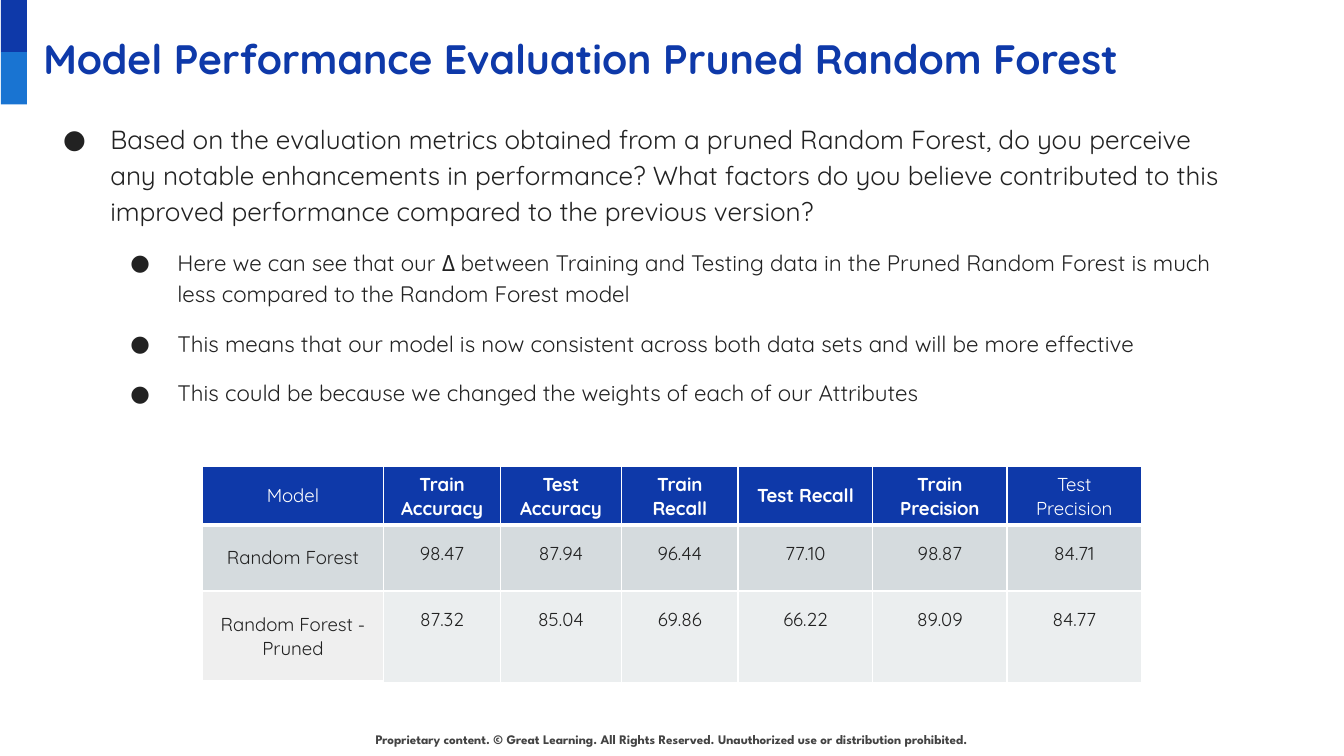
from lxml.etree import SubElement
from pptx import Presentation
from pptx.dml.color import RGBColor
from pptx.enum.shapes import MSO_SHAPE
from pptx.enum.text import MSO_ANCHOR, PP_ALIGN
from pptx.oxml.ns import qn
from pptx.util import Pt

COLORS = {
    "navy": "0E39A9",
    "blue": "1974D2",
    "ink": "222222",
    "footer": "434343",
    "white": "FFFFFF",
    "row": "D5DBDE",
    "pruned row": "EBEEEF",
    "pruned label": "EFEFEF",
}

QUESTION = (
    "Based on the evaluation metrics obtained from a pruned Random Forest, do you perceive "
    "any notable enhancements in performance? What factors do you believe contributed to this "
    "improved performance compared to the previous version?"
)
ANSWERS = [
    "Here we can see that our Δ between Training and Testing data in the Pruned Random Forest "
    "is much less compared to the Random Forest model",
    "This means that our model is now consistent across both data sets and will be more effective",
    "This could be because we changed the weights of each of our Attributes",
]
FOOTER = (
    "Proprietary content. © Great Learning. All Rights Reserved. "
    "Unauthorized use or distribution prohibited."
)

METRICS = [
    ["Model", "Train Accuracy", "Test Accuracy", "Train Recall", "Test Recall",
     "Train Precision", "Test Precision"],
    ["Random Forest", "98.47", "87.94", "96.44", "77.10", "98.87", "84.71"],
    ["Random Forest - Pruned", "87.32", "85.04", "69.86", "66.22", "89.09", "84.77"],
]
COLUMN_WIDTHS = [97.2, 62.6, 64.8, 62.6, 72, 72, 72]
ROW_HEIGHTS = [26.6, 35.3, 49]
LIGHT_HEADERS = {"Model", "Test Precision"}


def color(name):
    return RGBColor.from_string(COLORS[name])


def write(para, text, *, size, ink="ink", font="Quicksand", bold=False,
          align=PP_ALIGN.LEFT, line_spacing=1.0, space_before=0):
    para.alignment = align
    para.line_spacing = line_spacing
    para.space_before = Pt(space_before)
    span = para.add_run()
    span.text = text
    span.font.size = Pt(size)
    span.font.name = font
    span.font.bold = bold
    span.font.color.rgb = color(ink)


def set_frame(frame):
    frame.word_wrap = True
    frame.vertical_anchor = MSO_ANCHOR.TOP
    frame.margin_left = frame.margin_right = Pt(7.2)
    frame.margin_top = frame.margin_bottom = Pt(7.2)


def add_box(page, left, top, width, height):
    box = page.shapes.add_textbox(Pt(left), Pt(top), Pt(width), Pt(height))
    set_frame(box.text_frame)
    return box.text_frame


def add_bar(page, top, fill):
    bar = page.shapes.add_shape(MSO_SHAPE.RECTANGLE, Pt(0.5), Pt(top), Pt(14), Pt(28))
    bar.shadow.inherit = False
    bar.fill.solid()
    bar.fill.fore_color.rgb = color(fill)
    bar.line.fill.background()


def add_title(page, text):
    title = page.shapes.title
    title.left, title.top, title.width, title.height = Pt(16), Pt(10.8), Pt(671), Pt(45.4)
    set_frame(title.text_frame)
    write(title.text_frame.paragraphs[0], text, size=22, ink="navy", bold=True)


def add_bullet(para, level):
    para.level = level
    properties = para._p.get_or_add_pPr()
    properties.set("marL", str(Pt(36 * (level + 1))))
    properties.set("indent", str(Pt(-25.2)))
    tint = SubElement(properties, qn("a:buClr"))
    SubElement(tint, qn("a:srgbClr"), val=COLORS["ink"])
    SubElement(properties, qn("a:buFont"), typeface="Quicksand")
    SubElement(properties, qn("a:buChar"), char="●")


def add_discussion(page):
    frame = add_box(page, 16, 56.2, 654.5, 170)
    question = frame.paragraphs[0]
    write(question, QUESTION, size=14, line_spacing=1.15)
    add_bullet(question, 0)
    for text in ANSWERS:
        answer = frame.add_paragraph()
        write(answer, text, size=12, line_spacing=1.15, space_before=10)
        add_bullet(answer, 1)


def set_borders(cell, bottom):
    properties = cell._tc.get_or_add_tcPr()
    for side, width in {"L": 1, "R": 1, "T": 1, "B": bottom}.items():
        line = SubElement(properties, qn(f"a:ln{side}"), w=str(Pt(width)))
        fill = SubElement(line, qn("a:solidFill"))
        SubElement(fill, qn("a:srgbClr"), val=COLORS["white"])


def fill_cell(cell, text, row, column):
    header, label = row == 0, column == 0
    value = not header and not label
    set_borders(cell, 3 if header or (label and row == 2) else 1)
    fill = ["navy", "row", "pruned label" if label else "pruned row"][row]
    cell.fill.solid()
    cell.fill.fore_color.rgb = color(fill)
    cell.vertical_anchor = MSO_ANCHOR.TOP if value else MSO_ANCHOR.MIDDLE
    cell.margin_left = cell.margin_right = Pt(7.2)
    cell.margin_top = cell.margin_bottom = Pt(7.2 if value else 3.6)
    write(cell.text_frame.paragraphs[0], text, size=10,
          ink="white" if header else "ink",
          bold=header and text not in LIGHT_HEADERS,
          align=PP_ALIGN.CENTER, line_spacing=1.15 if value else 1.0)


def add_metrics(page):
    table = page.shapes.add_table(
        len(METRICS), len(COLUMN_WIDTHS), Pt(108.3), Pt(250),
        Pt(sum(COLUMN_WIDTHS)), Pt(sum(ROW_HEIGHTS)),
    ).table
    for column, width in zip(table.columns, COLUMN_WIDTHS):
        column.width = Pt(width)
    for row, height in zip(table.rows, ROW_HEIGHTS):
        row.height = Pt(height)
    for row, texts in enumerate(METRICS):
        for column, text in enumerate(texts):
            fill_cell(table.cell(row, column), text, row, column)


def main():
    deck = Presentation()
    deck.slide_width, deck.slide_height = Pt(720), Pt(405)
    page = deck.slides.add_slide(deck.slide_layouts[5])
    footer = add_box(page, 175.7, 387.4, 368, 21.6)
    write(footer.paragraphs[0], FOOTER, size=7, ink="footer", font="League Spartan",
          bold=True, align=PP_ALIGN.CENTER, line_spacing=1.02)
    for position, fill in enumerate(["navy", "blue"]):
        add_bar(page, 28 * position, fill)
    add_title(page, "Model Performance Evaluation Pruned Random Forest")
    add_discussion(page)
    add_metrics(page)
    deck.save("out.pptx")


if __name__ == "__main__":
    main()
